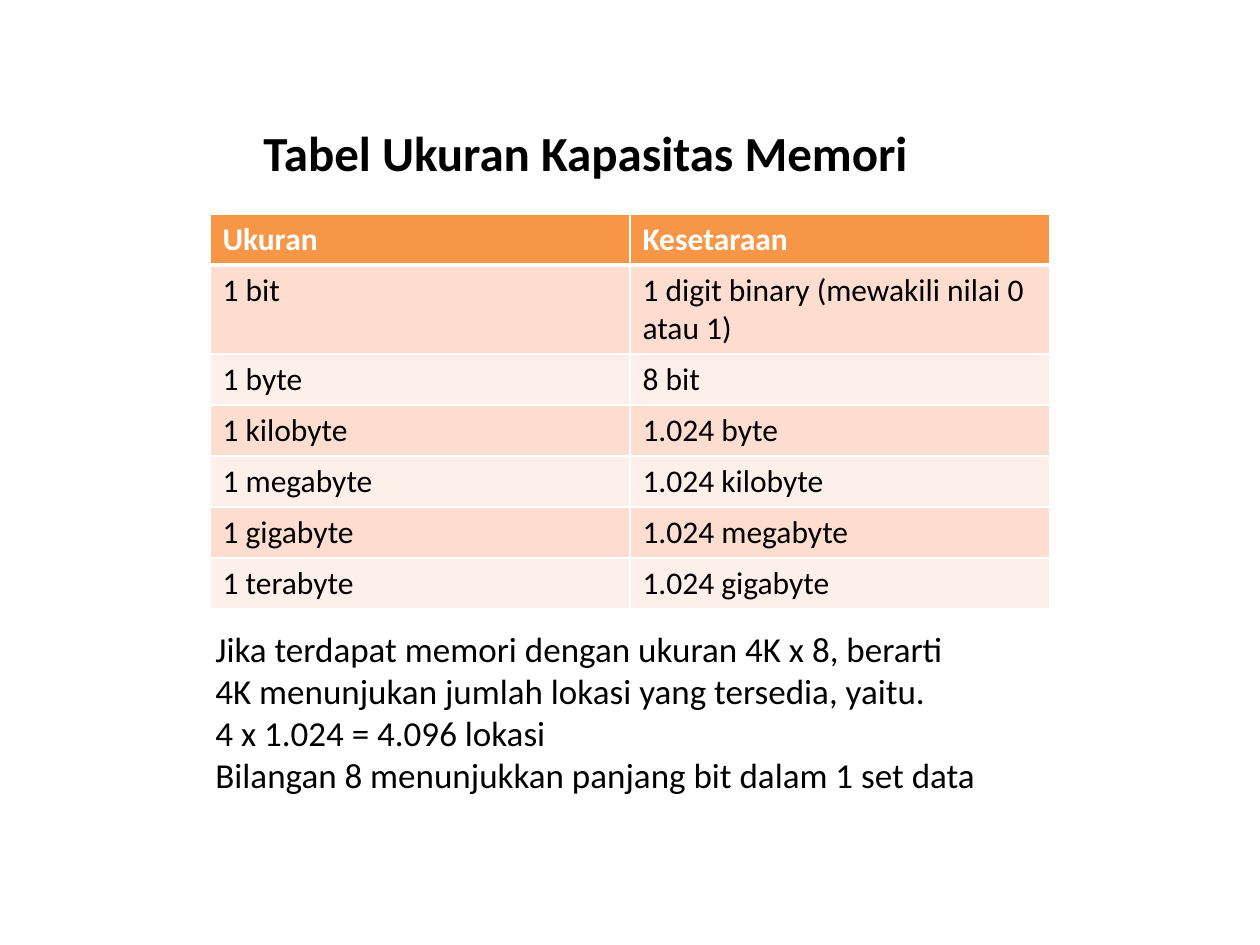
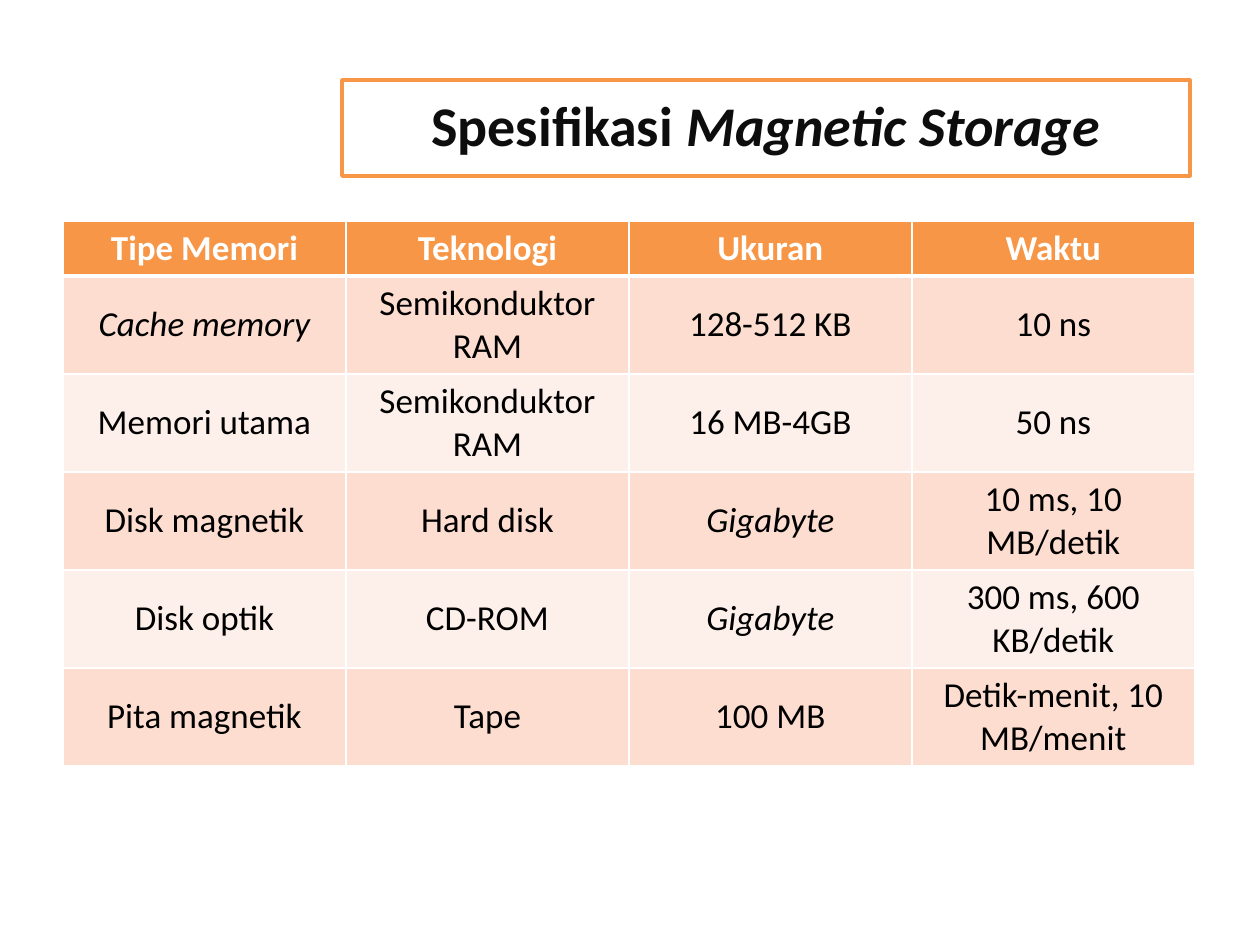
from pptx import Presentation
from pptx.dml.color import RGBColor
from pptx.enum.shapes import MSO_SHAPE
from pptx.enum.text import MSO_ANCHOR, PP_ALIGN
from pptx.oxml.ns import qn
from pptx.util import Pt
from lxml.etree import SubElement

PX = 7257  # EMU per px, 126 px to the inch
FONT = "Calibri"
COLORS = {
    "accent": "F79646",
    "band_dark": "FCDDCF",
    "band_light": "FDEFE9",
    "white": "FFFFFF",
    "black": "000000",
    "heading": "0D0D0D",
}
ITALIC_TERMS = {"Cache memory", "Gigabyte", "Magnetic Storage"}


def add_run(paragraph, text, size, color="black", bold=False):
    run = paragraph.add_run()
    run.text = text
    run.font.name = FONT
    run.font.size = Pt(size)
    run.font.bold = bold
    run.font.italic = text in ITALIC_TERMS
    run.font.color.rgb = RGBColor.from_string(COLORS[color])


def add_banded_table(slide, left, top, col_width, heights, rows, size, centred):
    table = slide.shapes.add_table(
        len(rows), len(rows[0]), left * PX, top * PX,
        col_width * len(rows[0]) * PX, sum(heights) * PX).table
    for column in table.columns:
        column.width = col_width * PX
    for r, (height, texts) in enumerate(zip(heights, rows)):
        header = r == 0
        band = "accent" if header else "band_dark" if r % 2 else "band_light"
        table.rows[r].height = height * PX
        for c, text in enumerate(texts):
            cell = table.cell(r, c)
            paragraph = cell.text_frame.paragraphs[0]
            add_run(paragraph, text, size, "white" if header else "black", header)
            if centred:
                paragraph.alignment = PP_ALIGN.CENTER
                if not header:
                    cell.vertical_anchor = MSO_ANCHOR.MIDDLE
            # White borders, thicker between the header and the first row
            properties = cell._tc.get_or_add_tcPr()
            for side in ("L", "R", "T", "B"):
                thick = (r, side) in ((0, "B"), (1, "T"))
                border = SubElement(properties, qn(f"a:ln{side}"), w=str(Pt(3 if thick else 1)))
                fill = SubElement(border, qn("a:solidFill"))
                SubElement(fill, qn("a:srgbClr"), val=COLORS["white"])
            cell.fill.solid()
            cell.fill.fore_color.rgb = RGBColor.from_string(COLORS[band])


prs = Presentation()
prs.slide_width = 1260 * PX
prs.slide_height = 945 * PX
blank = prs.slide_layouts[6]

# Slide 1: memory capacity units
capacity = prs.slides.add_slide(blank)
capacity_texts = [
    ((251, 116, 677, 72), 28, True, ["Tabel Ukuran Kapasitas Memori"]),
    ((203, 621, 853, 183), 20, False, [
        "Jika terdapat memori dengan ukuran 4K x 8, berarti",
        "4K menunjukan jumlah lokasi yang tersedia, yaitu.",
        "4 x 1.024 = 4.096 lokasi",
        "Bilangan 8 menunjukkan panjang bit dalam 1 set data",
    ]),
]
for place, size, bold, lines in capacity_texts:
    frame = capacity.shapes.add_textbox(*(n * PX for n in place)).text_frame
    frame.word_wrap = True
    for i, line in enumerate(lines):
        paragraph = frame.add_paragraph() if i else frame.paragraphs[0]
        add_run(paragraph, line, size, bold=bold)

units = [
    ("Ukuran", "Kesetaraan"),
    ("1 bit", "1 digit binary (mewakili nilai 0 atau 1)"),
    ("1 byte", "8 bit"),
    ("1 kilobyte", "1.024 byte"),
    ("1 megabyte", "1.024 kilobyte"),
    ("1 gigabyte", "1.024 megabyte"),
    ("1 terabyte", "1.024 gigabyte"),
]
add_banded_table(capacity, 210, 214, 420, [51, 89] + [51] * 5, units, 18, centred=False)

# Slide 2: storage specifications
storage = prs.slides.add_slide(blank)
memory_types = [
    ("Tipe Memori", "Teknologi", "Ukuran", "Waktu"),
    ("Cache memory", "Semikonduktor RAM", "128-512 KB", "10 ns"),
    ("Memori utama", "Semikonduktor RAM", "16 MB-4GB", "50 ns"),
    ("Disk magnetik", "Hard disk", "Gigabyte", "10 ms, 10 MB/detik"),
    ("Disk optik", "CD-ROM", "Gigabyte", "300 ms, 600 KB/detik"),
    ("Pita magnetik", "Tape", "100 MB", "Detik-menit, 10 MB/menit"),
]
add_banded_table(storage, 63, 221, 284 - 1, [55] + [98] * 5, memory_types, 20, centred=True)

# Framed heading
heading = storage.shapes.add_shape(
    MSO_SHAPE.RECTANGLE, 342 * PX, 80 * PX, 848 * PX, 96 * PX)
heading.shadow.inherit = False
heading.fill.solid()
heading.fill.fore_color.rgb = RGBColor.from_string(COLORS["white"])
heading.line.color.rgb = RGBColor.from_string(COLORS["accent"])
heading.line.width = Pt(2)
heading.text_frame.word_wrap = True
heading.text_frame.vertical_anchor = MSO_ANCHOR.TOP
heading.text_frame.margin_top = 10 * PX
heading_line = heading.text_frame.paragraphs[0]
heading_line.alignment = PP_ALIGN.CENTER
for part in ("Spesifikasi ", "Magnetic Storage"):
    add_run(heading_line, part, 32, "heading", bold=True)

prs.save("out.pptx")
